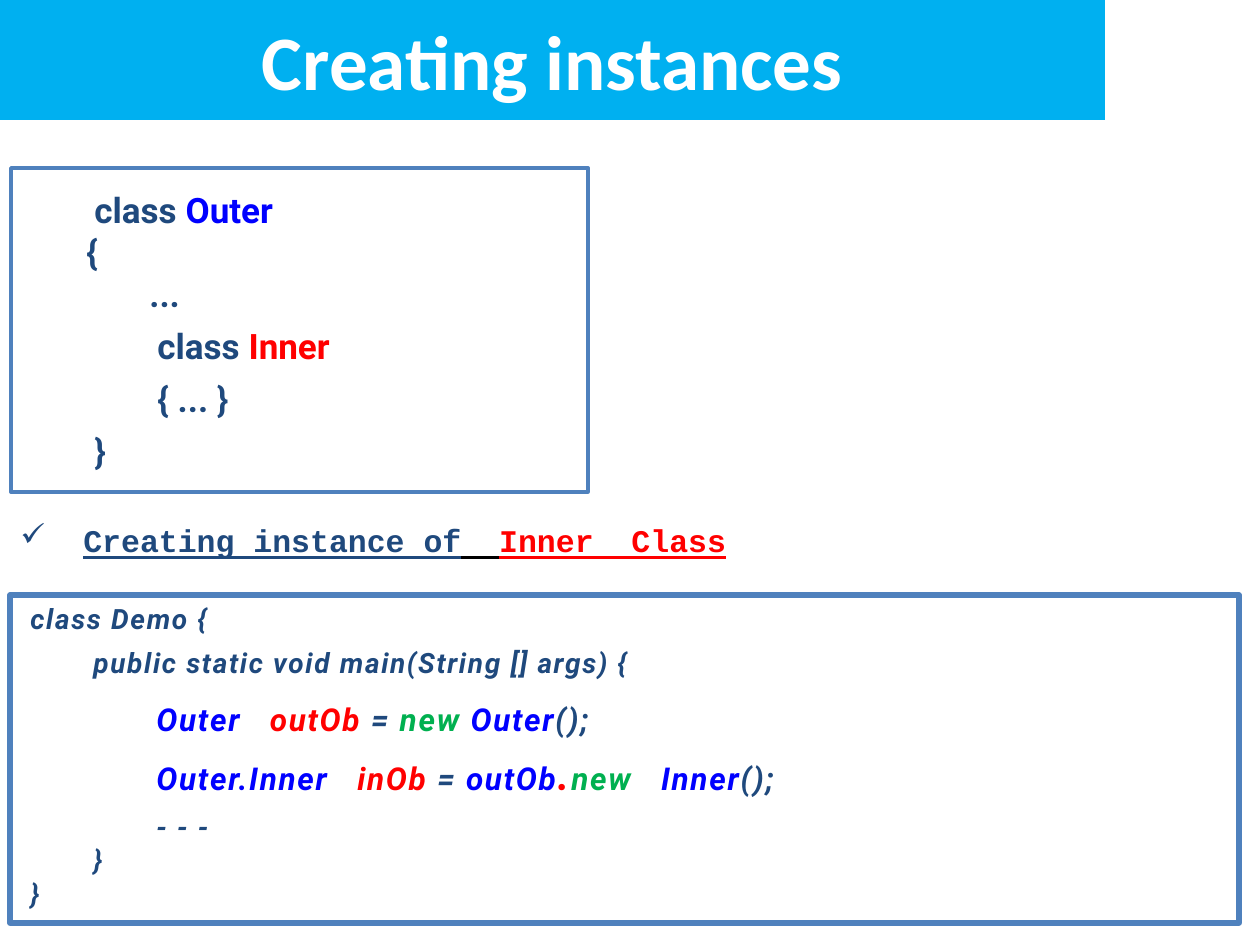
from lxml import etree
from pptx import Presentation
from pptx.dml.color import RGBColor
from pptx.enum.shapes import MSO_SHAPE
from pptx.enum.text import MSO_ANCHOR, PP_ALIGN
from pptx.oxml.ns import qn
from pptx.util import Emu, Pt

RECTANGLE = MSO_SHAPE.RECTANGLE
TOP, MIDDLE = MSO_ANCHOR.TOP, MSO_ANCHOR.MIDDLE
LEFT, CENTER = PP_ALIGN.LEFT, PP_ALIGN.CENTER

WHITE, BLACK, SKY, STEEL = "FFFFFF", "000000", "00B0F0", "4F81BD"
NAVY, BLUE, RED, GREEN = "1F497D", "0000FF", "FF0000", "00B050"

HANGING = 63
OUTER_MARGIN, BRACE_MARGIN, DEMO_MARGIN = 134, 126, 71

TITLE = [(0, 0, 0, [("Creating instances", WHITE, 44)])]

OUTER_CLASS = [
    (OUTER_MARGIN, HANGING, 6, [("class ", NAVY, 20), ("Outer", BLUE, 20)]),
    (BRACE_MARGIN, HANGING, 0, [("{", NAVY, 20)]),
    (BRACE_MARGIN, HANGING, 0, [("\t...", NAVY, 20)]),
    (OUTER_MARGIN, HANGING, 6, [("\tclass ", NAVY, 20), ("Inner", RED, 20)]),
    (OUTER_MARGIN, HANGING, 6, [("\t{ ... }", NAVY, 20)]),
    (OUTER_MARGIN, HANGING, 6, [("}", NAVY, 20)]),
]

DEMO_LINES = [
    (6, [("class Demo {", NAVY, 16)]),
    (6, [("\tpublic static void main(String [] args) {", NAVY, 16)]),
    (12, [("\t\tOuter   ", BLUE, 18), ("outOb ", RED, 18), ("= ", NAVY, 18),
          ("new ", GREEN, 18), ("Outer", BLUE, 18), ("();", NAVY, 18)]),
    (6, [("\t\tOuter.Inner   ", BLUE, 18), ("inOb ", RED, 18), ("= ", NAVY, 18),
         ("outOb", BLUE, 18), (".", RED, 24), ("new   ", GREEN, 18),
         ("Inner", BLUE, 18), ("();", NAVY, 18)]),
    (6, [("\t\t- - -", NAVY, 16)]),
    (0, [("\t}", NAVY, 16)]),
    (0, [("}", NAVY, 16)]),
]
DEMO_CLASS = [(DEMO_MARGIN, HANGING, before, spans) for before, spans in DEMO_LINES]

HEADING = [(DEMO_MARGIN, HANGING, 6, [
    ("Creating instance of", NAVY, 18), ("  ", BLACK, 18), ("Inner  Class", RED, 18)])]


def px(length):
    return Emu(round(length * 914400 / 126))


def color(value):
    return RGBColor.from_string(value)


def add_panel(slide, place, fill, line=None, width=0):
    panel = slide.shapes.add_shape(RECTANGLE, *map(px, place))
    panel.shadow.inherit = False
    panel.fill.solid()
    panel.fill.fore_color.rgb = color(fill)
    if line:
        panel.line.color.rgb = color(line)
        panel.line.width = Pt(width)
    else:
        panel.line.fill.background()
    return panel


def write(box, lines, font, anchor=TOP, align=LEFT, wrap=True,
          italic=False, underline=False, tracking=0, bullet=None):
    frame = box.text_frame
    frame.word_wrap = wrap
    frame.vertical_anchor = anchor
    for index, (margin, hanging, before, spans) in enumerate(lines):
        para = frame.add_paragraph() if index else frame.paragraphs[0]
        para.alignment = align
        para.space_before = Pt(before)
        properties = para._p.get_or_add_pPr()
        properties.set("marL", str(px(margin)))
        properties.set("indent", str(px(-hanging)))
        if bullet:
            etree.SubElement(properties, qn("a:buChar")).set("char", bullet)
        for text, ink, size in spans:
            span = para.add_run()
            span.text = text
            span.font.name = font
            span.font.size = Pt(size)
            span.font.bold = True
            span.font.italic = italic
            span.font.underline = underline
            span.font.color.rgb = color(ink)
            if tracking:
                span._r.get_or_add_rPr().set("spc", str(tracking))


def main():
    deck = Presentation()
    deck.slide_width, deck.slide_height = px(1260), px(945)
    page = deck.slides.add_slide(deck.slide_layouts[6])

    banner = add_panel(page, (0, 0, 1105, 120), SKY)
    write(banner, TITLE, "Calibri", MIDDLE, CENTER)

    outer = add_panel(page, (11, 168, 577, 324), WHITE, STEEL, 2)
    write(outer, OUTER_CLASS, "Roboto", MIDDLE)

    demo = add_panel(page, (10, 595, 1229, 328), WHITE, STEEL, 3)
    write(demo, DEMO_CLASS, "Roboto", italic=True, tracking=100)

    heading = page.shapes.add_textbox(*map(px, (0, 515, 743, 50)))
    write(heading, HEADING, "Courier New", wrap=False, underline=True, bullet="✓")

    deck.save("out.pptx")


if __name__ == "__main__":
    main()
